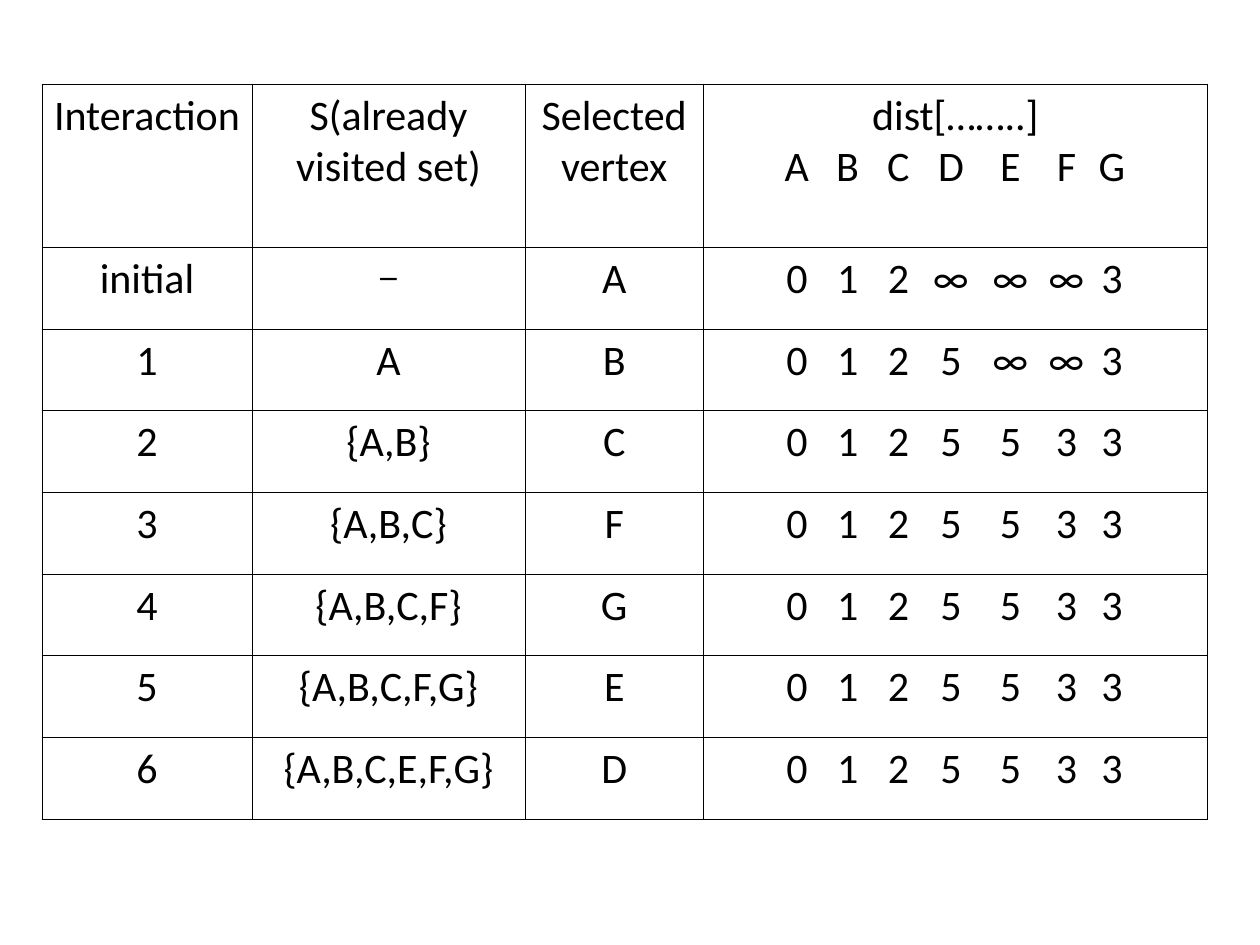
from pptx import Presentation
from pptx.dml.color import RGBColor
from pptx.enum.text import MSO_ANCHOR, PP_ALIGN
from pptx.oxml.xmlchemy import OxmlElement
from pptx.util import Pt

BLACK = "000000"
COLUMN_WIDTHS = (120, 156, 102, 288)
ROW_HEIGHT = 46.67
HEADER_HEIGHT = 2 * ROW_HEIGHT
# Centres of the distance values of vertices A to G
VERTEX_STOPS = (48, 77, 106, 136, 170, 202, 228)

HEADINGS = ("Interaction", "S(already visited set)", "Selected vertex")
SETTLED = "0 1 2 5 5 3 3"
STEPS = (
    ("initial", "−", "A", "0 1 2 ∞ ∞ ∞ 3"),
    ("1", "A", "B", "0 1 2 5 ∞ ∞ 3"),
    ("2", "{A,B}", "C", SETTLED),
    ("3", "{A,B,C}", "F", SETTLED),
    ("4", "{A,B,C,F}", "G", SETTLED),
    ("5", "{A,B,C,F,G}", "E", SETTLED),
    ("6", "{A,B,C,E,F,G}", "D", SETTLED),
)


def color(hex_code):
    return RGBColor.from_string(hex_code)


def write(paragraph, text, font="Calibri", size=24, ink=BLACK,
          align=PP_ALIGN.CENTER):
    paragraph.alignment = align
    run = paragraph.add_run()
    run.text = text
    run.font.name = font
    run.font.size = Pt(size)
    run.font.color.rgb = color(ink)


def write_distances(paragraph, values):
    """Set one value per vertex on centred tab stops."""
    stops = OxmlElement("a:tabLst")
    for position in VERTEX_STOPS:
        stop = OxmlElement("a:tab")
        stop.set("pos", str(Pt(position)))
        stop.set("algn", "ctr")
        stops.append(stop)
    paragraph._p.get_or_add_pPr().append(stops)
    write(paragraph, "".join("\t" + value for value in values.split()),
          align=PP_ALIGN.LEFT)


def add_borders(cell, width=0.45, ink=BLACK):
    properties = cell._tc.get_or_add_tcPr()
    for side in ("L", "R", "T", "B"):
        line = OxmlElement(f"a:ln{side}")
        line.set("w", str(Pt(width)))
        fill = OxmlElement("a:solidFill")
        shade = OxmlElement("a:srgbClr")
        shade.set("val", ink)
        fill.append(shade)
        line.append(fill)
        properties.append(line)


def format_cell(cell):
    add_borders(cell)
    cell.fill.background()
    cell.margin_left = cell.margin_right = Pt(5.4)
    cell.margin_top = cell.margin_bottom = Pt(3.6)
    cell.vertical_anchor = MSO_ANCHOR.TOP


def add_grid(slide):
    rows = len(STEPS) + 1
    frame = slide.shapes.add_table(
        rows, len(COLUMN_WIDTHS), Pt(24), Pt(48), Pt(sum(COLUMN_WIDTHS)),
        Pt(HEADER_HEIGHT + ROW_HEIGHT * len(STEPS)))
    grid = frame.table
    grid.first_row = grid.horz_banding = False
    for column, width in zip(grid.columns, COLUMN_WIDTHS):
        column.width = Pt(width)
    for index, row in enumerate(grid.rows):
        row.height = Pt(ROW_HEIGHT if index else HEADER_HEIGHT)
    for cell in grid.iter_cells():
        format_cell(cell)
    return grid


def main():
    deck = Presentation()
    deck.slide_width, deck.slide_height = Pt(720), Pt(540)
    slide = deck.slides.add_slide(deck.slide_layouts[6])
    grid = add_grid(slide)

    # Header row
    for column, heading in enumerate(HEADINGS):
        write(grid.cell(0, column).text_frame.paragraphs[0], heading)
    distance_heading = grid.cell(0, len(HEADINGS)).text_frame
    write(distance_heading.paragraphs[0], "dist[……..]")
    write_distances(distance_heading.add_paragraph(), "A B C D E F G")

    # One row per step of the algorithm
    for row, (*labels, distances) in enumerate(STEPS, start=1):
        for column, label in enumerate(labels):
            write(grid.cell(row, column).text_frame.paragraphs[0], label,
                  font="Cambria" if label == "−" else "Calibri")
        write_distances(
            grid.cell(row, len(labels)).text_frame.paragraphs[0], distances)

    deck.save("out.pptx")


if __name__ == "__main__":
    main()
